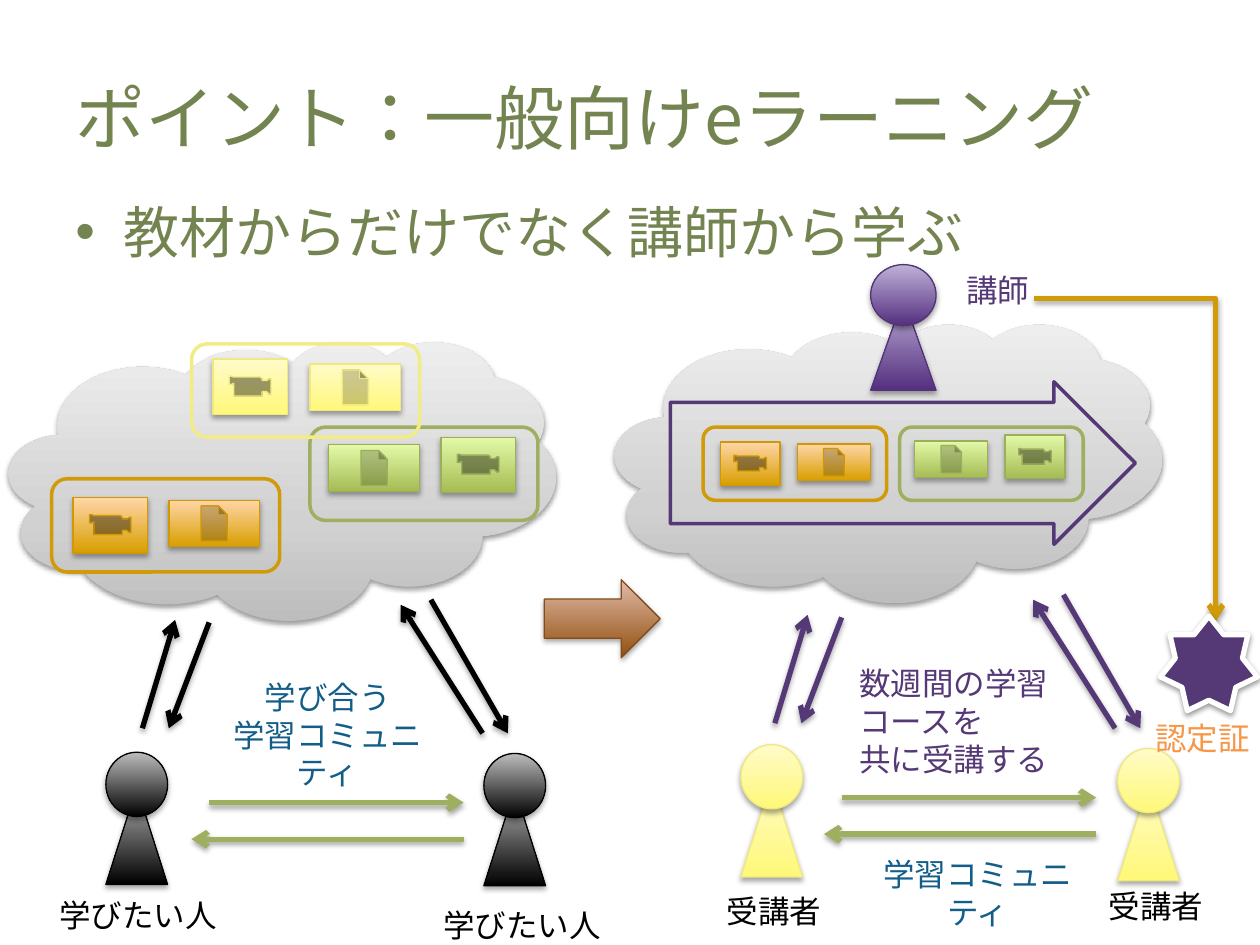
from copy import deepcopy
from pptx import Presentation, util as u
from pptx.dml.color import RGBColor
from pptx.enum import shapes, text
from pptx.oxml import ns, xmlchemy

KIND = shapes.MSO_SHAPE
LINK = shapes.MSO_CONNECTOR
SANS = "Noto Sans CJK JP"
BLACK, PURPLE, GOLD, GREEN, BLUE = "000000", "553876", "D09A08", "9EB060", "125E88"

# Gradient from bottom to top, then edge
TONES = {
    "green": (["A5BC54", "E3F9A8"], "9CAE5C"),
    "gold": (["D89E00", "FFD6A7"], "D09903"),
    "yellow": (["FFF879", "FFFBC8"], "EFE980"),
    "black": (["000000", "BDBDBD"], "000000"),
    "purple": (["542F7F", "BFB2D8"], "533575"),
    "brown": (["914F0D", "E1BAA9"], "824D19"),
    "cloud": (["BDBDBD", "D1D1D1", "EEEEEE"], None),
}
FRAMES = {"green": GREEN, "gold": GOLD, "yellow": "F2EC86"}

# Learning kits: tone, frame corner, movie offset, document offset
LOOSE = [
    ("gold", (0.41, 3.8), (0.17, 0.15), (0.93, 0.17)),
    ("green", (2.46, 3.39), (1.04, 0.08), (0.15, 0.14)),
    ("yellow", (1.52, 2.73), (0.17, 0.12), (0.94, 0.16)),
]
COURSE = [
    ("gold", (5.58, 3.39), (0.17, 0.15), (0.93, 0.17)),
    ("green", (7.14, 3.39), (1.04, 0.08), (0.15, 0.14)),
]

# People: tone, left, top, width scale, height scale
PEOPLE = [
    ("black", 0.84, 5.97, 1, 1),
    ("black", 3.84, 5.98, 1, 1),
    ("purple", 6.91, 2.1, 1.06, 0.95),
    ("yellow", 8.87, 5.94, 1, 1),
    ("yellow", 5.88, 5.91, 1, 1),
]

# Arrows of one community; the right one is the left one moved
CLOUD = [
    ((1.13, 5.78), (1.39, 4.92)),
    ((1.66, 4.94), (1.34, 5.78)),
    ((3.83, 5.82), (3.18, 4.8)),
    ((3.42, 4.76), (4.03, 5.82)),
]
PEERS = [((3.68, 6.66), (1.52, 6.66)), ((1.66, 6.37), (3.68, 6.37))]
SIDES = [(0, 0, BLACK), (5.02, -0.04, PURPLE)]

# Labels: lines, box, colour, centred
LABELS = [
    (["学び合う", "学習コミュニティ"], (1.52, 5.33, 2.16, 0.71), BLUE, True),
    (["学びたい人"], (0.37, 7.06, 1.55, 0.4), BLACK, False),
    (["学びたい人"], (3.42, 7.14, 1.55, 0.4), BLACK, False),
    (["学習コミュニティ"], (6.68, 6.74, 2.16, 0.4), BLUE, True),
    (["受講者"], (5.67, 7.03, 1.28, 0.4), BLACK, False),
    (["受講者"], (8.7, 6.99, 1.28, 0.4), BLACK, False),
    (["講師"], (7.57, 2.1, 1.28, 0.4), PURPLE, False),
    (["数週間の学習コースを", "共に受講する"], (6.72, 5.22, 2.13, 1.01), PURPLE, False),
    (["認定証"], (9.07, 5.66, 1.28, 0.4), "F79646", False),
]

deck = Presentation()
deck.slide_width, deck.slide_height = u.Inches(10), u.Inches(7.5)
page = deck.slides.add_slide(deck.slide_layouts[6]).shapes


def hue(code):
    return RGBColor.from_string(code)


def node(home, tag, **attrs):
    part = xmlchemy.OxmlElement(tag)
    for key, val in attrs.items():
        part.set(key, str(val))
    home.append(part)
    return part


def shade(home, alpha=35, dist=1.8):
    cast = node(home, "a:outerShdw", blurRad=u.Pt(3.1), dist=u.Pt(dist),
                dir=5400000, rotWithShape=0)
    node(node(cast, "a:srgbClr", val=BLACK), "a:alpha", val=alpha * 1000)


def blend(form, codes):
    form.fill.gradient()
    form.fill.gradient_angle = 90
    stops = form._element.spPr.find(".//" + ns.qn("a:gsLst"))
    if len(codes) == 3:
        stops.insert(1, deepcopy(stops[0]))
    spots = [0, 0.35, 1] if len(codes) == 3 else [0, 1]
    for stop, code, spot in zip(form.fill.gradient_stops, codes, spots):
        stop.color.rgb = hue(code)
        stop.position = spot


def draw(kind, box, tone=None, fill=None, edge=None, width=0.75, cast=None, home=page):
    form = home.add_shape(kind, *map(u.Inches, box))
    if tone:
        codes, edge = TONES[tone]
        blend(form, codes)
        cast = cast or (35, 1.8)
    elif fill:
        form.fill.solid()
        form.fill.fore_color.rgb = hue(fill)
    else:
        form.fill.background()
    if edge:
        form.line.color.rgb = hue(edge)
        form.line.width = u.Pt(width)
    else:
        form.line.fill.background()
    form.shadow.inherit = False
    if cast:
        shade(form._element.spPr.find(ns.qn("a:effectLst")), *cast)
    return form


def link(start, end, code, bent=False):
    kind = LINK.ELBOW if bent else LINK.STRAIGHT
    line = page.add_connector(kind, *map(u.Inches, (*start, *end)))
    line.line.color.rgb = hue(code)
    line.line.width = u.Pt(3)
    spec = line._element.spPr
    if bent:  # one corner only
        spec.find(ns.qn("a:prstGeom")).set("prst", "bentConnector2")
    node(spec.find(ns.qn("a:ln")), "a:tailEnd", type="arrow")
    shade(node(spec, "a:effectLst"))


def write(lines, box, size=18, font="Calibri", code=BLACK, mid=False,
          anchor=text.MSO_ANCHOR.TOP, bullet=None):
    frame = page.add_textbox(*map(u.Inches, box)).text_frame
    frame.word_wrap = True
    frame.vertical_anchor = anchor
    for i, words in enumerate(lines):
        para = frame.add_paragraph() if i else frame.paragraphs[0]
        para.alignment = text.PP_ALIGN.CENTER if mid else text.PP_ALIGN.LEFT
        run = para.add_run()
        run.text = words
        run.font.size, run.font.name = u.Pt(size), font
        run.font.color.rgb = hue(code)
        props = run._r.get_or_add_rPr()
        props.set("lang", "ja-JP")
        node(props, "a:ea", typeface=font)
        if bullet:
            para.space_before = u.Pt(size * 0.2)
            props = para._p.get_or_add_pPr()
            props.set("marL", str(u.Inches(0.38)))
            props.set("indent", str(-u.Inches(0.38)))
            node(props, "a:buFont", typeface="Arial")
            node(props, "a:buChar", char=bullet)


def kit(tone, spot, film, sheet, wide=1, high=1, home=page):
    parts = [(KIND.ACTION_BUTTON_MOVIE, film, 0.59, 0.44),
             (KIND.ACTION_BUTTON_DOCUMENT, sheet, 0.72, 0.37)]
    for kind, (dx, dy), w, h in parts:
        box = (spot[0] + dx * wide, spot[1] + dy * high, w * wide, h * high)
        draw(kind, box, tone, home=home)
    draw(KIND.ROUNDED_RECTANGLE, (*spot, 1.81 * wide, 0.74 * high),
         edge=FRAMES[tone], width=2, home=home)


def person(tone, x, y, wide, high):
    home = page.add_group_shape().shapes
    w = 0.49 * wide
    draw(KIND.ISOSCELES_TRIANGLE, (x, y + 0.28 * high, w, 0.77 * high), tone, home=home)
    draw(KIND.OVAL, (x, y, w, 0.51 * high), tone, home=home)


# Clouds and headings
for spot in [(4.88, 2.57), (0.07, 2.71)]:
    draw(KIND.CLOUD, (*spot, 4.34, 2.21), "cloud", cast=(38, 1.6))
write(["ポイント：一般向けeラーニング"], (0.5, 0.3, 9, 1.25), size=40, font=SANS,
      code="738450", anchor=text.MSO_ANCHOR.MIDDLE)
write(["教材からだけでなく講師から学ぶ"], (0.5, 1.52, 9.31, 0.99), size=32, font=SANS,
      code="738450", bullet="•")

# Loose kits, people and the course
for item in LOOSE:
    kit(*item)
for item in PEOPLE:
    person(*item)
course = page.add_group_shape().shapes
for item in COURSE:
    kit(*item, wide=0.805, high=0.785, home=course)
path = draw(KIND.RIGHT_ARROW, (5.32, 3.03, 3.69, 1.29), edge=PURPLE, width=2, home=course)
path.adjustments[0] = 0.746

# Arrows of both communities
for dx, dy, code in SIDES:
    for pairs, tint in [(CLOUD, code), (PEERS, GREEN)]:
        for pair in pairs:
            link(*[(x + dx, y + dy) for x, y in pair], tint)

# Certificate, change arrow and labels
link((8.21, 2.37), (9.65, 4.93), GOLD, bent=True)
draw(KIND.STAR_7_POINT, (9.21, 4.89, 0.77, 0.75), fill=PURPLE, edge="FFFFFF",
     width=3, cast=(38, 1.6))
draw(KIND.RIGHT_ARROW, (4.32, 4.6, 0.92, 0.62), "brown")
for lines, box, code, mid in LABELS:
    write(lines, box, code=code, mid=mid)

deck.save("out.pptx")
